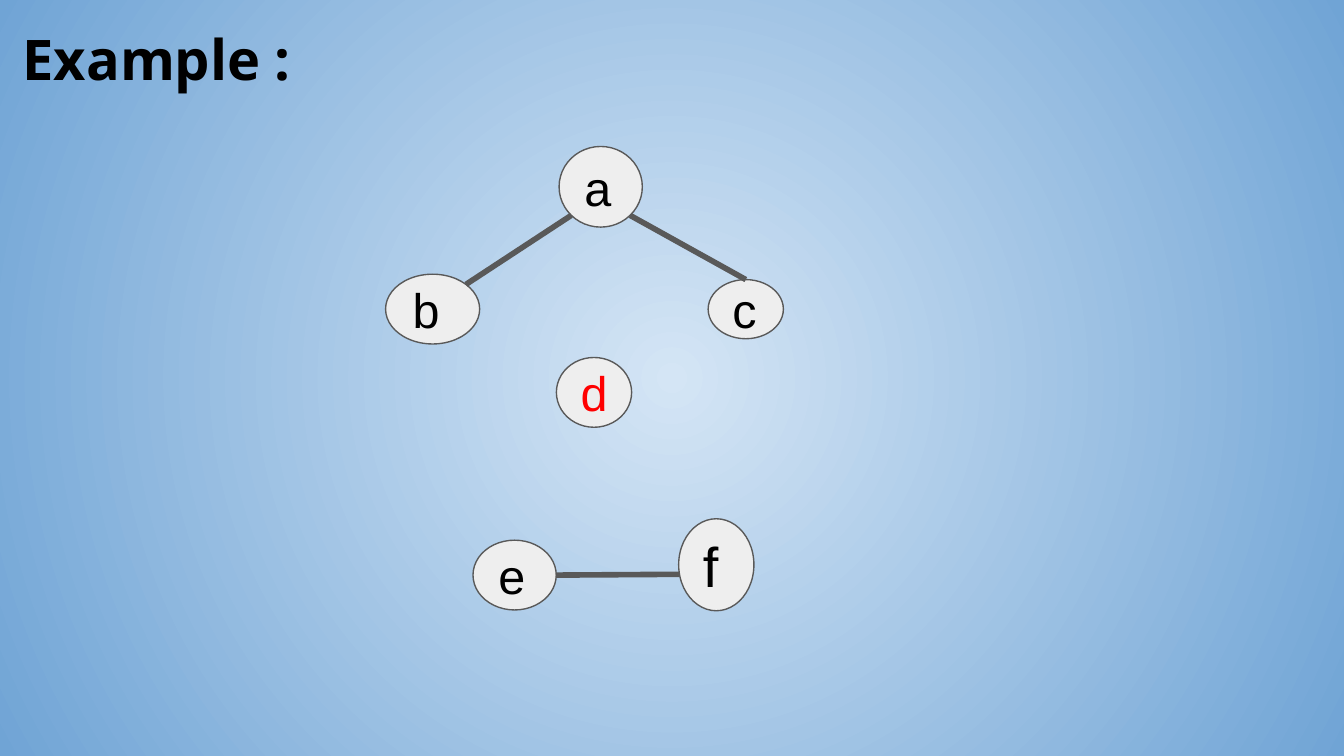
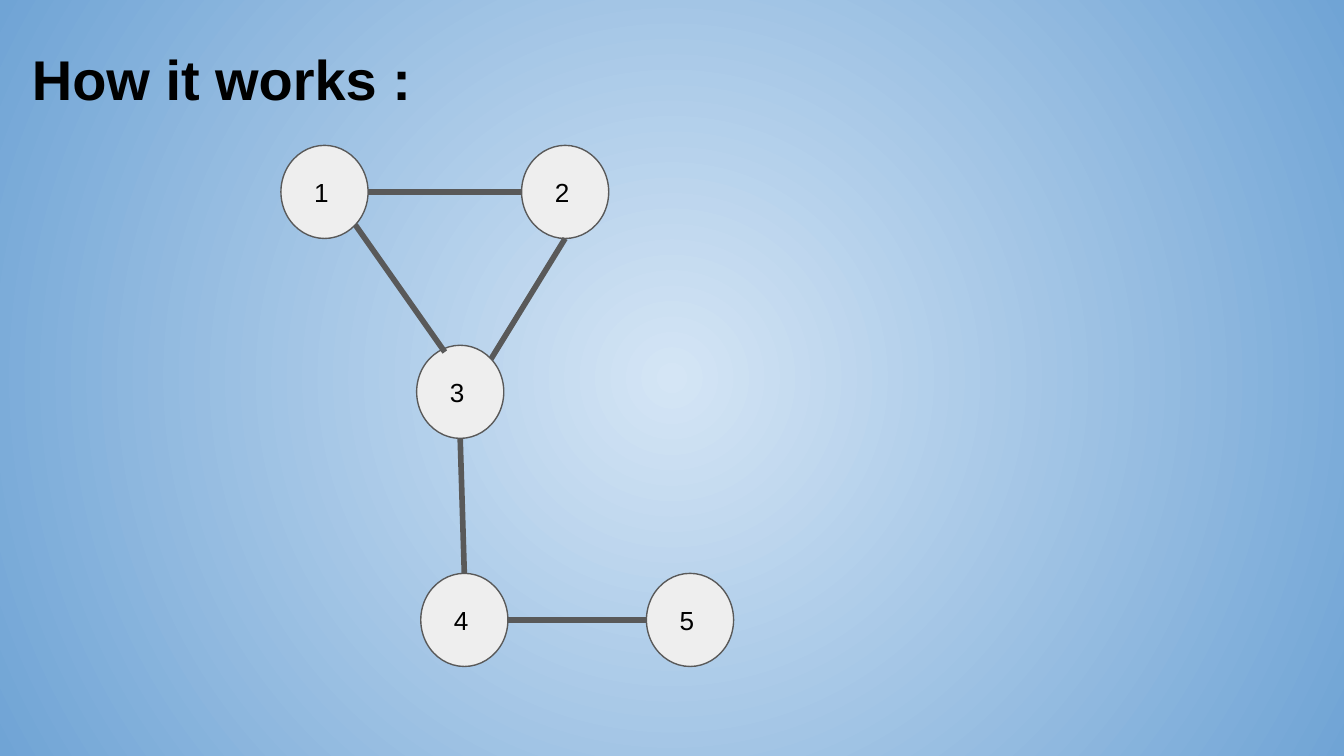
"""Build two slides that show small graphs of nodes and edges."""
import math

from lxml import etree
from pptx import Presentation
from pptx import util as u
from pptx.dml.color import RGBColor
from pptx.enum import shapes, text
from pptx.oxml.ns import qn

BLACK = RGBColor(0x00, 0x00, 0x00)
RED = RGBColor(0xFF, 0x00, 0x00)
GRAY = RGBColor(0x59, 0x59, 0x59)
PALE = RGBColor(0xEE, 0xEE, 0xEE)
GLOW = RGBColor(0xD4, 0xE5, 0xF5)
BLUE = RGBColor(0x70, 0xA4, 0xD5)
INSET = u.Pt(7.2)
DISK = shapes.MSO_SHAPE.FLOWCHART_CONNECTOR
OVAL = shapes.MSO_SHAPE.OVAL

LETTERS = [
    ("a", 299.5, 78.5, 44.6, 43.2, 26, BLACK),
    ("b", 206.6, 146.9, 50.4, 37.4, 26, BLACK),
    ("c", 379.4, 149.8, 40.3, 31.7, 26, BLACK),
    ("d", 298.1, 191.5, 40.3, 37.4, 26, RED),
    ("e", 253.4, 289.4, 44.6, 37.4, 26, BLACK),
    ("f", 363.6, 277.9, 40.3, 49.3, 30, BLACK),
]
NUMBERS = [
    ("2", 279.4, 77.9), ("1", 150.5, 77.9), ("3", 223.2, 185),
    ("4", 225.4, 307.2), ("5", 346.3, 307.2),
]


def add_page(deck):
    """Add a blank slide with the round blue gradient."""
    page = deck.slides.add_slide(deck.slide_layouts[6])
    fill = page.background.fill
    fill.gradient()
    for stop, color in zip(fill.gradient_stops, (GLOW, BLUE)):
        stop.color.rgb = color
    lin = page.element.find(".//" + qn("a:lin"))
    grad = lin.getparent()
    grad.remove(lin)
    path = etree.SubElement(grad, qn("a:path"), path="circle")
    etree.SubElement(path, qn("a:fillToRect"), l="50000", t="50000", r="50000", b="50000")
    return page


def add_words(shape, words, size, color=BLACK, font="Arial", bold=False):
    """Write one left-aligned run into a shape."""
    frame = shape.text_frame
    frame.word_wrap = True
    frame.margin_left = frame.margin_right = INSET
    frame.margin_top = frame.margin_bottom = INSET
    para = frame.paragraphs[0]
    para.alignment = text.PP_ALIGN.LEFT
    run = para.add_run()
    run.text = words
    run.font.size = u.Pt(size)
    run.font.name = font
    run.font.bold = bold
    run.font.color.rgb = color
    return frame


def add_title(page, words, left, top, width, height, font):
    """Add the bold title of a slide."""
    box = page.shapes.add_textbox(u.Pt(left), u.Pt(top), u.Pt(width), u.Pt(height))
    frame = add_words(box, words, 30, font=font, bold=True)
    frame.auto_size = text.MSO_AUTO_SIZE.SHAPE_TO_FIT_TEXT


def add_node(page, kind, words, left, top, width, height, size, color=BLACK):
    """Add a round node with its label."""
    node = page.shapes.add_shape(kind, u.Pt(left), u.Pt(top), u.Pt(width), u.Pt(height))
    node.shadow.inherit = False
    node.fill.solid()
    node.fill.fore_color.rgb = PALE
    node.line.color.rgb = GRAY
    node.line.width = u.Pt(0.75)
    frame = add_words(node, words, size, color)
    frame.vertical_anchor = text.MSO_ANCHOR.MIDDLE
    return node


def rim(node, angle):
    """Return the point on a node's rim, in degrees up from the right."""
    turn = math.radians(angle)
    across = node.left + node.width / 2 * (1 + math.cos(turn))
    down = node.top + node.height / 2 * (1 - math.sin(turn))
    return u.Emu(round(across)), u.Emu(round(down))


def add_edge(page, start, end):
    """Draw a thick line between two points."""
    edge = page.shapes.add_connector(shapes.MSO_CONNECTOR.STRAIGHT, *start, *end)
    edge.line.color.rgb = GRAY
    edge.line.width = u.Pt(3)
    etree.SubElement(edge.element.spPr, qn("a:effectLst"))


def draw_sample(deck):
    """Build the slide with the lettered graph."""
    page = add_page(deck)
    nodes = {row[0]: add_node(page, DISK, *row) for row in LETTERS}
    for one, out, two, into in (("a", 225, "b", 45), ("a", 315, "c", 90), ("e", 0, "f", 192)):
        add_edge(page, rim(nodes[one], out), rim(nodes[two], into))
    add_title(page, "Example :", 5, 5.8, 265.7, 67.7, "Open Sans")


def draw_steps(deck):
    """Build the slide with the numbered graph."""
    page = add_page(deck)
    nodes = {
        name: add_node(page, OVAL, " " + name, left, top, 46.7, 49.9, 14)
        for name, left, top in NUMBERS
    }
    add_edge(page, rim(nodes["1"], 315), (u.Pt(238.3), u.Pt(188.6)))
    for one, out, two, into in (
        ("1", 0, "2", 180), ("2", 270, "3", 45), ("3", 270, "4", 90), ("4", 0, "5", 180),
    ):
        add_edge(page, rim(nodes[one], out), rim(nodes[two], into))
    add_title(page, "How it works :", 10, 16.6, 560.9, 51.1, "Arial")


def main():
    """Build and save the deck."""
    deck = Presentation()
    deck.slide_width, deck.slide_height = u.Pt(720), u.Pt(405)
    draw_sample(deck)
    draw_steps(deck)
    deck.save("out.pptx")


if __name__ == "__main__":
    main()
